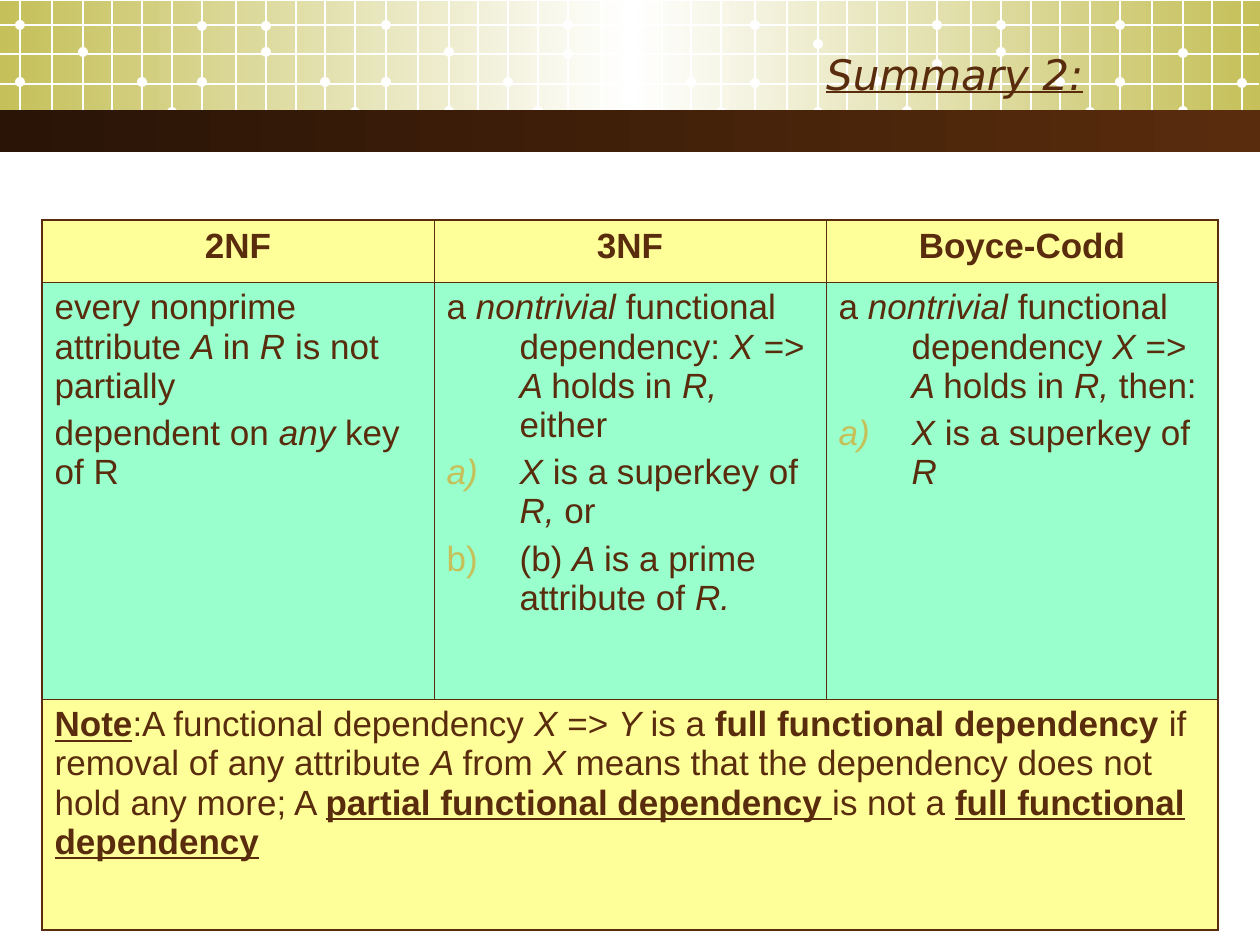
from dataclasses import dataclass

from lxml.etree import SubElement
from pptx import Presentation
from pptx.dml.color import RGBColor
from pptx.enum.shapes import MSO_CONNECTOR, MSO_SHAPE
from pptx.enum.text import MSO_ANCHOR, MSO_AUTO_SIZE, PP_ALIGN
from pptx.oxml.ns import qn
from pptx.util import Emu, Pt

COLORS = {
    "olive": "C5C059",
    "white": "FFFFFF",
    "brown": "592C0D",
    "dark": "291406",
    "yellow": "FFFF99",
    "mint": "99FFCC",
}
EMU_PER_PX = 914400 / 126

# The grid repeats in blocks that share their column and dot offsets.
BLOCK_STARTS = [20, 386, 755, 1120]
COLUMN_OFFSETS = [0, 32, 63, 92, 122, 152, 182, 216, 246, 276, 305, 335]
ROW_LINES = [25, 54, 84, 112]
DOT_COLUMNS = [0, 0, 2, 2, 4, 5, 6, 6, 8, 8, 10, 11]
DOT_HEIGHTS = [
    [82, 25, 52, 115, 82, 112, 82, 26, 52, 26, 82, 112],
    [82, 25, 52, 111, 82, 111, 54, 25, 53, 25, 82, 112],
    [83, 25, 44, 112, 81, 111, 64, 25, 52, 25, 82, 112],
    [82, 25, 53, 111, 83],
]
DOT_SIZE = 10
HANGING = 73


@dataclass
class Run:
    text: str
    style: str = ""  # any of b, i, u


@dataclass
class Para:
    runs: list[Run]
    align: PP_ALIGN = PP_ALIGN.LEFT
    hanging: bool = False
    lettered: bool = False


def px(length: int) -> Emu:
    return Emu(round(length * EMU_PER_PX))


def rgb(name: str) -> RGBColor:
    return RGBColor.from_string(COLORS[name])


def add_band(shapes, top: int, height: int, stops: list[str]) -> None:
    band = shapes.add_shape(MSO_SHAPE.RECTANGLE, 0, px(top), px(1260), px(height))
    band.shadow.inherit = False
    band.line.fill.background()
    band.fill.gradient()
    band.fill.gradient_angle = 0
    stop_list = band._element.spPr.find(qn("a:gradFill")).find(qn("a:gsLst"))
    stop_list.clear()
    for index, name in enumerate(stops):
        position = 100000 * index // (len(stops) - 1)
        stop = SubElement(stop_list, qn("a:gs"), pos=str(position))
        SubElement(stop, qn("a:srgbClr"), val=COLORS[name])


def add_grid_line(shapes, x1: int, y1: int, x2: int, y2: int) -> None:
    line = shapes.add_connector(MSO_CONNECTOR.STRAIGHT, px(x1), px(y1), px(x2), px(y2))
    line.line.color.rgb = rgb("white")
    line.line.width = Pt(0.75)
    SubElement(line._element.spPr, qn("a:effectLst"))


def add_dot(shapes, x: int, y: int) -> None:
    """Draw a dot centred on x, y."""
    half = DOT_SIZE // 2
    dot = shapes.add_shape(
        MSO_SHAPE.OVAL, px(x - half), px(y - half), px(DOT_SIZE), px(DOT_SIZE))
    dot.shadow.inherit = False
    dot.fill.solid()
    dot.fill.fore_color.rgb = rgb("white")
    dot.line.fill.background()


def add_grid(shapes) -> None:
    for start, heights in zip(BLOCK_STARTS, DOT_HEIGHTS):
        for offset in COLUMN_OFFSETS:
            if start + offset < 1260:
                add_grid_line(shapes, start + offset, 0, start + offset, 139)
        for column, y in zip(DOT_COLUMNS, heights):
            add_dot(shapes, start + COLUMN_OFFSETS[column], y)
    for y in ROW_LINES:
        add_grid_line(shapes, 0, y, 1259, y)


def add_run(paragraph, run: Run, font_name: str, size: int) -> None:
    piece = paragraph.add_run()
    piece.text = run.text
    font = piece.font
    font.name, font.size = font_name, Pt(size)
    font.color.rgb = rgb("brown")
    font.bold = "b" in run.style
    font.italic = "i" in run.style
    font.underline = "u" in run.style


def add_letter_bullet(properties) -> None:
    color = SubElement(properties, qn("a:buClr"))
    SubElement(color, qn("a:srgbClr"), val=COLORS["olive"])
    SubElement(properties, qn("a:buFont"), typeface="Arial")
    SubElement(properties, qn("a:buAutoNum"), type="alphaLcParenR")


def fill_cell(cell, paras: list[Para], color: str) -> None:
    cell.fill.solid()
    cell.fill.fore_color.rgb = rgb(color)
    for index, para in enumerate(paras):
        frame = cell.text_frame
        paragraph = frame.add_paragraph() if index else frame.paragraphs[0]
        properties = paragraph._p.get_or_add_pPr()
        if para.hanging:
            properties.set("marL", str(px(HANGING)))
            properties.set("indent", str(-px(HANGING)))
        if para.lettered:
            add_letter_bullet(properties)
        paragraph.alignment = para.align
        paragraph.space_before = Pt(5 if index else 0)
        for run in para.runs:
            add_run(paragraph, run, "Arial", 20)


def set_borders(cell, outer_sides: set[str]) -> None:
    properties = cell._tc.get_or_add_tcPr()
    for side in "LRTB":
        width = Pt(1.08 if side in outer_sides else 0.45)
        line = SubElement(properties, qn(f"a:ln{side}"), w=str(width))
        fill = SubElement(line, qn("a:solidFill"))
        SubElement(fill, qn("a:srgbClr"), val=COLORS["brown"])


def heading(text: str) -> list[Para]:
    return [Para([Run(text, "b")], PP_ALIGN.CENTER)]


SECOND_FORM = [
    Para([Run("every nonprime attribute "), Run("A ", "i"), Run("in "),
          Run("R ", "i"), Run("is not partially")]),
    Para([Run("dependent on "), Run("any ", "i"), Run("key of R")]),
]
THIRD_FORM = [
    Para([Run("a "), Run("nontrivial ", "i"), Run("functional dependency: "),
          Run("X => A ", "i"), Run("holds in "), Run("R, ", "i"), Run("either")],
         hanging=True),
    Para([Run("X ", "i"), Run("is a superkey of "), Run("R, ", "i"), Run("or")],
         hanging=True, lettered=True),
    Para([Run("(b) "), Run("A ", "i"), Run("is a prime attribute of "), Run("R.", "i")],
         hanging=True, lettered=True),
]
BOYCE_CODD = [
    Para([Run("a "), Run("nontrivial ", "i"), Run("functional dependency "),
          Run("X ", "i"), Run("=> "), Run("A ", "i"), Run("holds in "),
          Run("R, ", "i"), Run("then:")], hanging=True),
    Para([Run("X ", "i"), Run("is a superkey of "), Run("R", "i")],
         hanging=True, lettered=True),
]
NOTE = [
    Para([Run("Note", "bu"), Run(":A functional dependency "), Run("X ", "i"),
          Run("=> "), Run("Y ", "i"), Run("is a "),
          Run("full functional dependency ", "b"),
          Run("if removal of any attribute "), Run("A ", "i"), Run("from "),
          Run("X ", "i"), Run("means that the dependency does not hold any more; A "),
          Run("partial functional dependency ", "bu"), Run("is not a "),
          Run("full functional dependency", "bu")]),
]
ROWS = [
    (62, "yellow", [heading("2NF"), heading("3NF"), heading("Boyce-Codd")]),
    (417, "mint", [SECOND_FORM, THIRD_FORM, BOYCE_CODD]),
    (231, "yellow", [NOTE, [], []]),
]


def add_forms_table(shapes) -> None:
    table = shapes.add_table(3, 3, px(42), px(220), px(1176), px(710)).table
    for column in table.columns:
        column.width = px(392)
    table.cell(2, 0).merge(table.cell(2, 2))
    for r, (height, color, contents) in enumerate(ROWS):
        table.rows[r].height = px(height)
        for c, paras in enumerate(contents):
            edges = {"T": r == 0, "B": r == 2, "L": c == 0, "R": c == 2 or r == 2}
            set_borders(table.cell(r, c), {side for side in edges if edges[side]})
            fill_cell(table.cell(r, c), paras, color)


def place_title(slide) -> None:
    title = slide.shapes.title
    title.left, title.top, title.width, title.height = px(25), px(42), px(1071), px(63)
    slide.shapes._spTree.append(title._element)  # in front of the bands
    frame = title.text_frame
    frame.auto_size = MSO_AUTO_SIZE.NONE
    frame.vertical_anchor = MSO_ANCHOR.MIDDLE
    frame.paragraphs[0].alignment = PP_ALIGN.RIGHT
    add_run(frame.paragraphs[0], Run("Summary 2:", "iu"), "DejaVu Sans", 24)


def main() -> None:
    deck = Presentation()
    deck.slide_width, deck.slide_height = px(1260), px(945)
    slide = deck.slides.add_slide(deck.slide_layouts[5])
    add_band(slide.shapes, 1, 128, ["olive", "white", "olive"])
    add_grid(slide.shapes.add_group_shape().shapes)
    add_band(slide.shapes, 110, 42, ["dark", "brown"])
    place_title(slide)
    add_forms_table(slide.shapes)
    deck.save("out.pptx")


if __name__ == "__main__":
    main()
